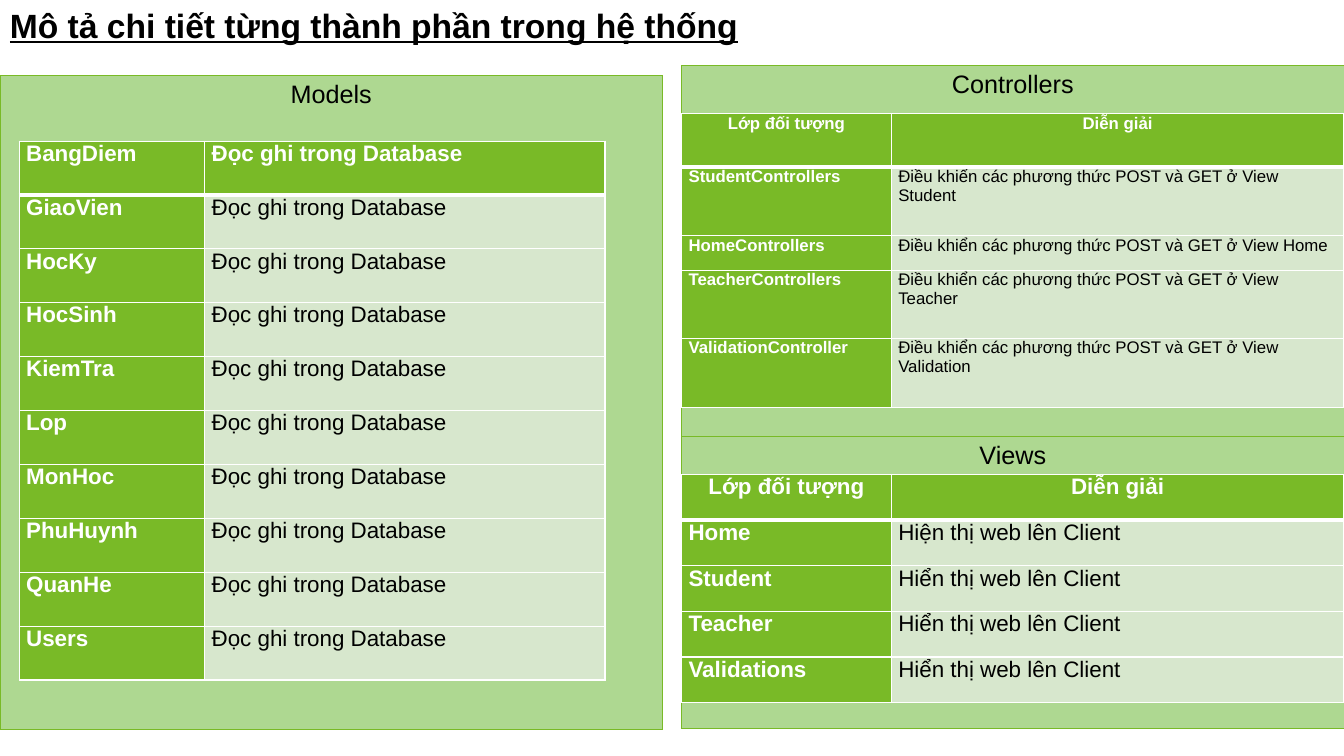
from lxml.etree import SubElement
from pptx import Presentation
from pptx.dml.color import RGBColor
from pptx.enum.text import MSO_AUTO_SIZE, PP_ALIGN
from pptx.oxml.ns import qn
from pptx.util import Inches, Pt

GREEN = RGBColor(0x79, 0xBA, 0x27)
LIGHT = RGBColor(0xAE, 0xD8, 0x91)
PALE = RGBColor(0xD7, 0xE7, 0xCD)
WHITE = RGBColor(0xFF, 0xFF, 0xFF)
BLACK = RGBColor(0, 0, 0)

LEFT, RIGHT, WIDE = 0, 6.76, 6.57
SPLIT = [2.08, 4.49]
HEADS = ("Lớp đối tượng", "Diễn giải")
MODELS = ["BangDiem", "GiaoVien", "HocKy", "HocSinh", "KiemTra",
          "Lop", "MonHoc", "PhuHuynh", "QuanHe", "Users"]
ROUTE = "Điều khiển các phương thức POST và GET ở View "
ROUTES = [("StudentControllers", "Student"), ("HomeControllers", "Home"),
          ("TeacherControllers", "Teacher"),
          ("ValidationController", "Validation")]
SHOW = "Hiển thị web lên Client"
VIEWS = [("Home", "Hiện thị web lên Client"), ("Student", SHOW),
         ("Teacher", SHOW), ("Validations", SHOW)]


class Board:
    def __init__(self, slide, face="Arial"):
        self.slide = slide
        self.face = face

    def label(self, frame, text, size, color=BLACK, bold=False, center=False):
        """Put styled text in a frame and return its font."""
        para = frame.paragraphs[0]
        para.text = text
        para.alignment = PP_ALIGN.CENTER if center else PP_ALIGN.LEFT
        font = para.font
        font.name, font.size, font.bold = self.face, Pt(size), bold
        font.color.rgb = color
        return font

    def title(self, text):
        box = self.slide.shapes.add_textbox(
            Inches(0), Inches(0), Inches(7.66), Inches(0.5))
        frame = box.text_frame
        frame.word_wrap = True
        frame.auto_size = MSO_AUTO_SIZE.SHAPE_TO_FIT_TEXT
        self.label(frame, text, 24, bold=True).underline = True

    def grid(self, left, top, cols, rows):
        """Add an empty table with the given column widths and row heights."""
        table = self.slide.shapes.add_table(
            len(rows), len(cols), Inches(left), Inches(top),
            Inches(sum(cols)), Inches(sum(rows))).table
        table.first_row = table.horz_banding = False
        for col, width in zip(table.columns, cols):
            col.width = Inches(width)
        for row, height in zip(table.rows, rows):
            row.height = Inches(height)
        return table

    def paint(self, cell, fill, line, **widths):
        """Draw the four borders, then the fill; widths are keyed L, R, T, B."""
        props = cell._tc.get_or_add_tcPr()
        for side in "LRTB":
            edge = SubElement(props, qn("a:ln" + side),
                              w=str(Pt(widths.get(side, 1))))
            solid = SubElement(edge, qn("a:solidFill"))
            SubElement(solid, qn("a:srgbClr"), val=str(line))
        cell.fill.solid()
        cell.fill.fore_color.rgb = fill

    def panel(self, name, left, top, height):
        cell = self.grid(left, top, [WIDE], [height]).cell(0, 0)
        self.paint(cell, LIGHT, GREEN, L=0.5, R=0.5, T=0.5, B=0.5)
        self.label(cell.text_frame, name, 18, center=True)

    def table(self, left, top, cols, rows, data, size, center=True):
        """Add a table whose first row and first column are green."""
        table = self.grid(left, top, cols, rows)
        for i, line in enumerate(data):
            for j, text in enumerate(line):
                cell = table.cell(i, j)
                cell.margin_left = cell.margin_right = Inches(0.07)
                cell.margin_top = cell.margin_bottom = 0
                strong = i == 0 or j == 0
                self.paint(cell, GREEN if strong else PALE, WHITE,
                           T=3 if i == 1 else 1, B=3 if i == 0 else 1)
                self.label(cell.text_frame, text, size,
                           WHITE if strong else BLACK, strong,
                           center and i == 0)


def main():
    deck = Presentation()
    deck.slide_width, deck.slide_height = Inches(13.33), Inches(7.5)
    board = Board(deck.slides.add_slide(deck.slide_layouts[6]))

    board.panel("Models", LEFT, 0.75, 6.49)
    board.title("Mô tả chi tiết từng thành phần trong hệ thống")
    board.table(0.19, 1.4, [1.84, 3.97], [5.35 / len(MODELS)] * len(MODELS),
                [(name, "Đọc ghi trong Database") for name in MODELS],
                16, center=False)

    board.panel("Controllers", RIGHT, 0.65, 3.68)
    board.table(RIGHT, 1.13, SPLIT, [0.53, 0.68, 0.34, 0.68, 0.68],
                [HEADS] + [(name, ROUTE + view) for name, view in ROUTES], 12)

    board.panel("Views", RIGHT, 4.33, 2.9)
    board.table(RIGHT, 4.71, SPLIT, [2.26 / 5] * 5, [HEADS] + VIEWS, 16)
    deck.save("out.pptx")


if __name__ == "__main__":
    main()
